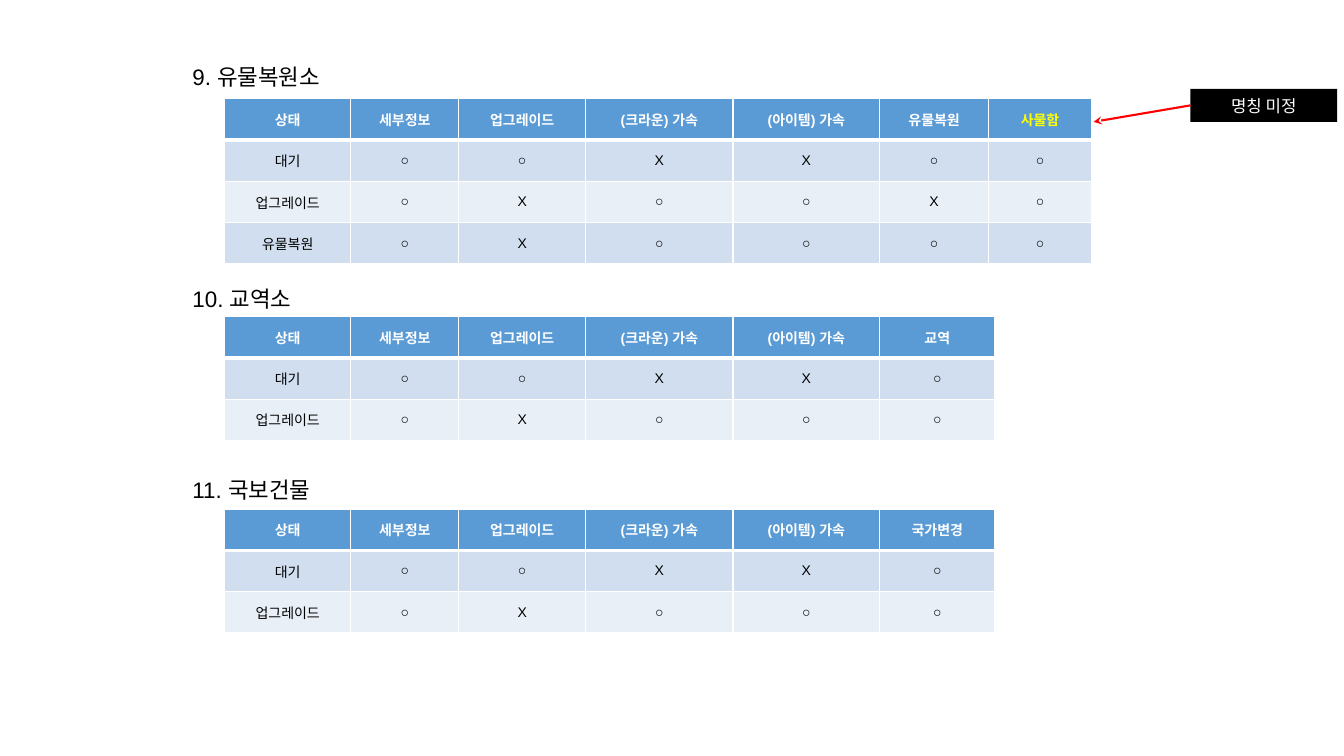
from lxml.etree import SubElement
from pptx import Presentation
from pptx.dml.color import RGBColor
from pptx.enum.shapes import MSO_CONNECTOR as Connector, MSO_SHAPE as Shape
from pptx.enum.text import MSO_ANCHOR as Anchor, PP_ALIGN as Align
from pptx.oxml.ns import qn
from pptx.util import Cm, Pt

BLACK = RGBColor(0x00, 0x00, 0x00)
WHITE = RGBColor(0xFF, 0xFF, 0xFF)
RED = RGBColor(0xFF, 0x00, 0x00)
YELLOW = RGBColor(0xFF, 0xFF, 0x00)
HEADER_BLUE = RGBColor(0x5B, 0x9B, 0xD5)
BANDS = [RGBColor(0xE9, 0xEF, 0xF7), RGBColor(0xD0, 0xDE, 0xEF)]

COMMON_HEADERS = ["상태", "세부정보", "업그레이드", "(크라운) 가속", "(아이템) 가속"]
COMMON_WIDTHS = [3.18, 2.72, 3.2, 3.71, 3.7]
IDLE = ["대기", *"○○XX"]
UPGRADING = ["업그레이드", *"○X○○"]
RESTORING = ["유물복원", *"○X○○"]


class StateSlide:
    font_name = "Arial"
    heading_left = 3.33
    table_left = 5.66
    row_height = 1.04

    def __init__(self, presentation):
        self.slide = presentation.slides.add_slide(presentation.slide_layouts[6])

    def style(self, paragraph, size, color, bold=False):
        paragraph.font.name = self.font_name
        paragraph.font.size = Pt(size)
        paragraph.font.color.rgb = color
        paragraph.font.bold = bold

    def heading(self, text, top, width):
        box = self.slide.shapes.add_textbox(
            Cm(self.heading_left), Cm(top), Cm(width), Cm(1.27))
        box.text_frame.word_wrap = True
        paragraph = box.text_frame.paragraphs[0]
        paragraph.text = text
        paragraph.level = 1
        paragraph.line_spacing = 1.5
        properties = paragraph._p.get_or_add_pPr()
        properties.set("marL", str(Cm(1.27)))
        properties.set("indent", "0")
        self.style(paragraph, 16, BLACK)

    def border(self, cell, side, points):
        line = SubElement(cell._tc.get_or_add_tcPr(), qn(f"a:ln{side}"), w=str(Pt(points)))
        fill = SubElement(line, qn("a:solidFill"))
        SubElement(fill, qn("a:srgbClr"), val=str(WHITE))

    def cell(self, cell, text, row, color):
        cell.text = text
        cell.vertical_anchor = Anchor.MIDDLE
        cell.margin_left = cell.margin_right = Cm(0.33)
        cell.margin_top = cell.margin_bottom = Cm(0.13)
        # A heavier rule separates the header from the body
        self.border(cell, "L", 1)
        self.border(cell, "R", 1)
        self.border(cell, "T", 3 if row == 1 else 1)
        self.border(cell, "B", 3 if row == 0 else 1)
        cell.fill.solid()
        cell.fill.fore_color.rgb = BANDS[row % 2] if row else HEADER_BLUE
        paragraph = cell.text_frame.paragraphs[0]
        paragraph.alignment = Align.CENTER
        self.style(paragraph, 10, color, bold=row == 0)

    def table(self, top, widths, rows, pending=()):
        frame = self.slide.shapes.add_table(
            len(rows), len(widths), Cm(self.table_left), Cm(top),
            Cm(sum(widths)), Cm(self.row_height * len(rows)))
        table = frame.table
        for column, width in zip(table.columns, widths):
            column.width = Cm(width)
        for row, texts in enumerate(rows):
            table.rows[row].height = Cm(self.row_height)
            for column, text in enumerate(texts):
                color = BLACK if row else YELLOW if text in pending else WHITE
                self.cell(table.cell(row, column), text, row, color)

    def callout(self, text, left, top, width, height):
        shape = self.slide.shapes.add_shape(
            Shape.RECTANGLE, Cm(left), Cm(top), Cm(width), Cm(height))
        shape.shadow.inherit = False
        shape.fill.solid()
        shape.fill.fore_color.rgb = BLACK
        shape.line.fill.background()
        shape.text_frame.word_wrap = True
        shape.text_frame.vertical_anchor = Anchor.MIDDLE
        paragraph = shape.text_frame.paragraphs[0]
        paragraph.text = text
        paragraph.alignment = Align.CENTER
        self.style(paragraph, 12, WHITE)
        return shape

    def arrow(self, source, end_x, end_y):
        connector = self.slide.shapes.add_connector(
            Connector.STRAIGHT, source.left, source.top, Cm(end_x), Cm(end_y))
        connector.begin_connect(source, 1)
        connector.line.color.rgb = RED
        connector.line.width = Pt(1.5)
        SubElement(connector.line._get_or_add_ln(), qn("a:tailEnd"), type="stealth")
        SubElement(connector._element.spPr, qn("a:effectLst"))


def main():
    presentation = Presentation()
    presentation.slide_width = Cm(33.87)
    presentation.slide_height = Cm(19.05)
    page = StateSlide(presentation)

    # Relic restoration
    page.heading("9. 유물복원소", 1.12, 5.28)
    page.table(2.49, COMMON_WIDTHS + [2.74, 2.6], [
        COMMON_HEADERS + ["유물복원", "사물함"],
        IDLE + ["○", "○"],
        UPGRADING + ["X", "○"],
        RESTORING + ["○", "○"],
    ], pending=["사물함"])

    # Trading post and national treasure share one layout
    for heading, width, action, heading_top, table_top in [
        ("10. 교역소", 4.47, "교역", 6.71, 7.98),
        ("11. 국보건물", 5.03, "국가변경", 11.53, 12.83),
    ]:
        page.heading(heading, heading_top, width)
        page.table(table_top, COMMON_WIDTHS + [2.9], [
            COMMON_HEADERS + [action], IDLE + ["○"], UPGRADING + ["○"]])

    # Note on the pending name
    note = page.callout("명칭 미정", 30, 2.24, 3.7, 0.83)
    page.arrow(note, 27.56, 3.07)

    presentation.save("out.pptx")


if __name__ == "__main__":
    main()
